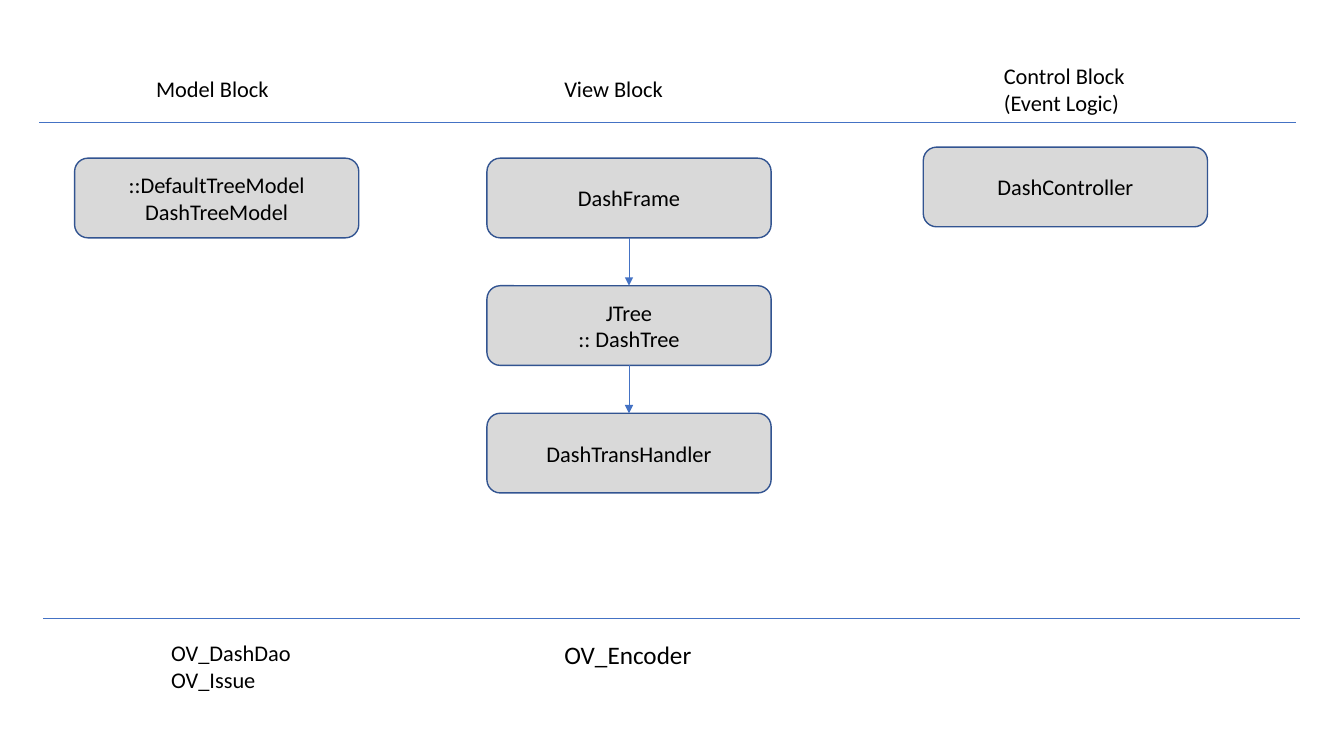
import pptx
import pptx.dml.color
import pptx.enum.shapes
import pptx.enum.text
import pptx.oxml.ns
import pptx.util
from lxml import etree

Pt = pptx.util.Pt

# Content: column headings, class boxes and footer notes
model_class = ["::DefaultTreeModel", "DashTreeModel"]
view_classes = [["DashFrame"], ["JTree", ":: DashTree"], ["DashTransHandler"]]
control_class = ["DashController"]

# Text labels: lines, left, top, width, height, type size
labels = [
    (["Model Block"], 104.4, 50.4, 95.8, 26.6, "body"),
    (["View Block"], 396, 50.4, 85.7, 26.6, "body"),
    (["Control Block", "(Event Logic)"], 709.9, 41, 102.2, 46.1, "body"),
    (["OV_DashDao", "OV_Issue"], 115.2, 452.9, 100.8, 46.1, "body"),
    (["OV_Encoder"], 396, 452.9, 106.6, 28.8, "large"),
]

# Horizontal rules: left, top
rules = [(28.1, 87.1), (31, 441.4)]
rule_width = 897.8

# Layout of the class boxes
box_width, box_height = 203, 56.9
model_left, view_left, control_left = 53.3, 347.8, 659.5
class_top, control_top = 113, 105.1
view_step = 91.1

color = pptx.dml.color.RGBColor.from_string
theme = {
    "font": "Calibri",
    "body": Pt(16),
    "large": Pt(18),
    "text": color("000000"),
    "fill": color("D9D9D9"),
    "outline": color("325491"),
    "line": color("4472C4"),
    "outline_width": Pt(1),
    "line_width": Pt(0.5),
}

deck = pptx.Presentation()
deck.slide_width, deck.slide_height = Pt(960), Pt(540)
page = deck.slides.add_slide(deck.slide_layouts[6])


def write_lines(frame, lines, size, align):
    for index, line in enumerate(lines):
        para = frame.paragraphs[0] if index == 0 else frame.add_paragraph()
        para.alignment = align
        span = para.add_run()
        span.text = line
        span.font.name = theme["font"]
        span.font.size = theme[size]
        span.font.color.rgb = theme["text"]


def add_class(lines, left, top):
    box = page.shapes.add_shape(
        pptx.enum.shapes.MSO_SHAPE.ROUNDED_RECTANGLE,
        Pt(left), Pt(top), Pt(box_width), Pt(box_height))
    box.shadow.inherit = False
    box.fill.solid()
    box.fill.fore_color.rgb = theme["fill"]
    box.line.color.rgb = theme["outline"]
    box.line.width = theme["outline_width"]
    box.text_frame.word_wrap = True
    box.text_frame.vertical_anchor = pptx.enum.text.MSO_ANCHOR.MIDDLE
    write_lines(box.text_frame, lines, "body", pptx.enum.text.PP_ALIGN.CENTER)
    return box


def add_label(lines, left, top, width, height, size):
    box = page.shapes.add_textbox(Pt(left), Pt(top), Pt(width), Pt(height))
    box.text_frame.word_wrap = False
    box.text_frame.auto_size = pptx.enum.text.MSO_AUTO_SIZE.SHAPE_TO_FIT_TEXT
    write_lines(box.text_frame, lines, size, pptx.enum.text.PP_ALIGN.LEFT)


def add_line(left=0, top=0, width=0):
    line = page.shapes.add_connector(
        pptx.enum.shapes.MSO_CONNECTOR.STRAIGHT,
        Pt(left), Pt(top), Pt(left + width), Pt(top))
    line.line.color.rgb = theme["line"]
    line.line.width = theme["line_width"]
    etree.SubElement(line._element.spPr, pptx.oxml.ns.qn("a:effectLst"))
    return line


def add_arrow(upper, lower):
    arrow = add_line()
    arrow.begin_connect(upper, 2)
    arrow.end_connect(lower, 0)
    outline = arrow.line._get_or_add_ln()
    etree.SubElement(outline, pptx.oxml.ns.qn("a:tailEnd"), type="triangle")


# Headings, notes and rules
for label in labels:
    add_label(*label)
for left, top in rules:
    add_line(left, top, rule_width)

# Class boxes, with the view classes chained downwards
add_class(model_class, model_left, class_top)
add_class(control_class, control_left, control_top)
view_boxes = [add_class(lines, view_left, class_top + row * view_step)
              for row, lines in enumerate(view_classes)]
for upper, lower in zip(view_boxes, view_boxes[1:]):
    add_arrow(upper, lower)

deck.save("out.pptx")
